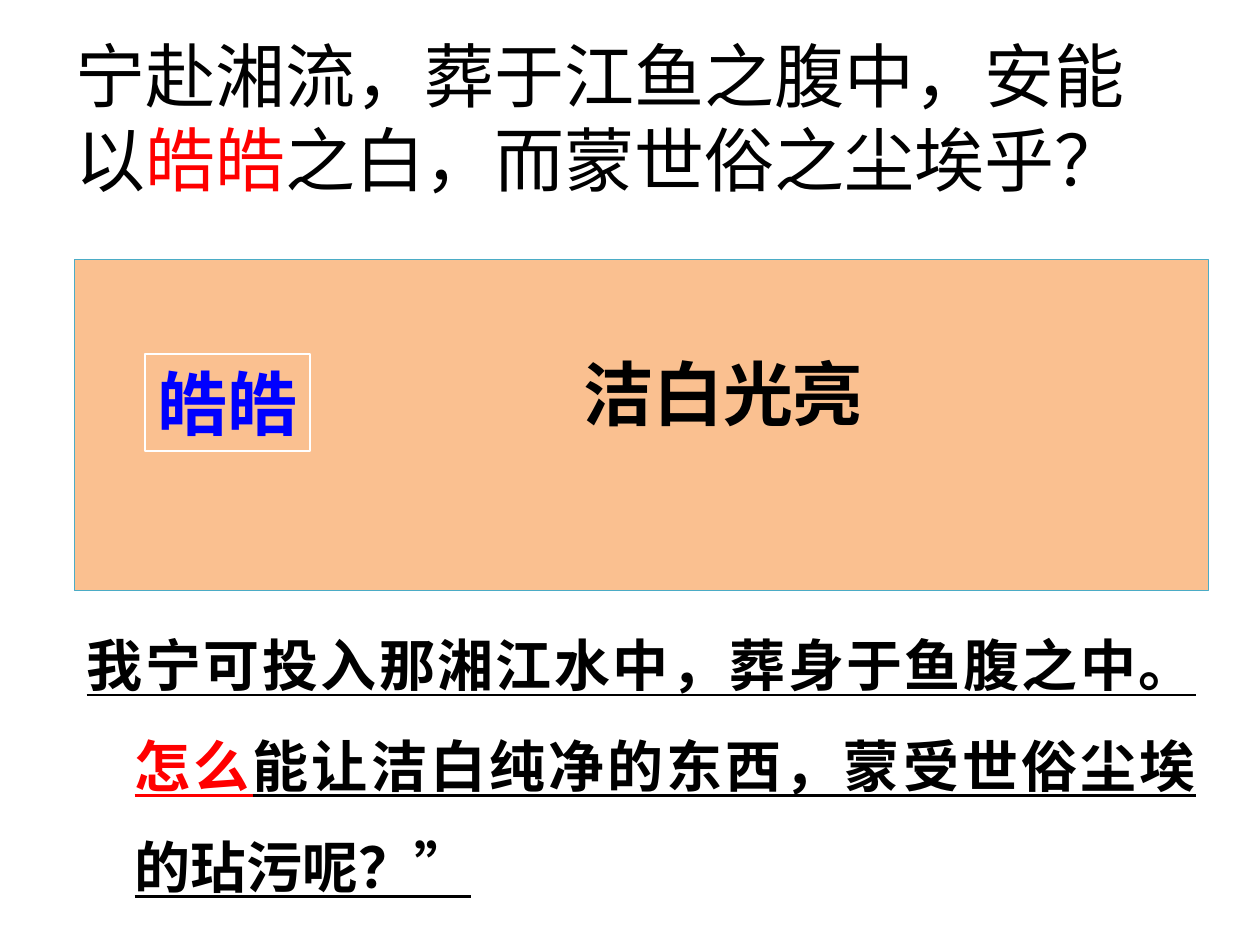
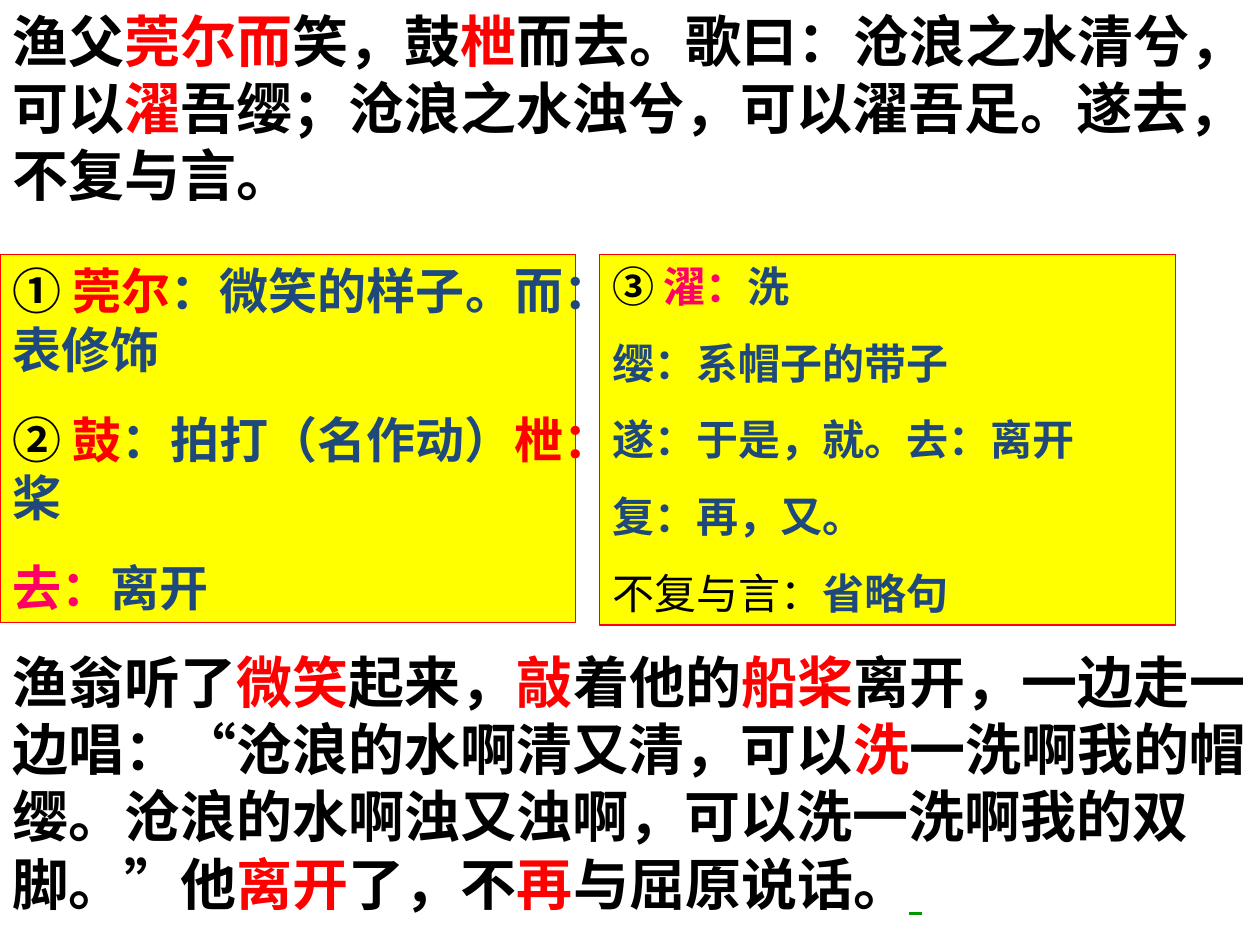
import pptx
import pptx.dml.color
import pptx.enum.shapes
import pptx.enum.text
import pptx.util
from pptx.util import Inches

# Shared colours and fonts
BLACK, RED, PINK = "000000", "FF0000", "FF0066"
BLUE, NAVY, GREEN = "0000FF", "1F497D", "009900"
WHITE, ORANGE, TEAL, YELLOW = "FFFFFF", "FAC090", "4BACC6", "FFFF00"
CHINESE = "Noto Sans CJK SC"
NUMBER = {"font": "Times New Roman"}
JUSTIFY = pptx.enum.text.PP_ALIGN.JUSTIFY


def color(hex_string):
    return pptx.dml.color.RGBColor.from_string(hex_string)


def add_text(slide, paragraphs, left, top, width, height, *, size=32, font="Arial",
             bold=True, underline=False, align=None, before=0, spacing=None, hanging=0,
             anchor=pptx.enum.text.MSO_ANCHOR.TOP, wrap=True, fill=None, line=None, line_width=0.75):
    """Each paragraph is a list of runs: (text, colour) or (text, colour, overrides)."""
    box = (Inches(left), Inches(top), Inches(width), Inches(height))
    if fill or line:
        shape = slide.shapes.add_shape(pptx.enum.shapes.MSO_SHAPE.RECTANGLE, *box)
        shape.shadow.inherit = False
        shape.fill.background()
        shape.line.color.rgb = color(line)
        shape.line.width = pptx.util.Pt(line_width)
    else:
        shape = slide.shapes.add_textbox(*box)
    if fill:
        shape.fill.solid()
        shape.fill.fore_color.rgb = color(fill)

    frame = shape.text_frame
    frame.word_wrap = wrap
    frame.vertical_anchor = anchor
    for index, runs in enumerate(paragraphs):
        paragraph = frame.add_paragraph() if index else frame.paragraphs[0]
        paragraph.alignment = align or pptx.enum.text.PP_ALIGN.LEFT
        paragraph.space_before = pptx.util.Pt(before)
        paragraph.line_spacing = spacing
        if hanging:
            properties = paragraph._p.get_or_add_pPr()
            properties.set("marL", str(Inches(hanging)))
            properties.set("indent", str(-Inches(hanging)))
        for text, run_color, *overrides in runs:
            style = {"font": font, "bold": bold, "underline": underline}
            style.update(*overrides)
            run = paragraph.add_run()
            run.text = text
            run.font.size = pptx.util.Pt(size)
            run.font.name = style["font"]
            run.font.bold = style["bold"]
            run.font.underline = style["underline"]
            run.font.color.rgb = color(run_color)
            run.font.language_id = pptx.enum.lang.MSO_LANGUAGE_ID.SIMPLIFIED_CHINESE
            east_asian = run.font._element.makeelement(pptx.oxml.ns.qn("a:ea"), {"typeface": CHINESE})
            run.font._element.find(pptx.oxml.ns.qn("a:latin")).addnext(east_asian)
    return shape


presentation = pptx.Presentation()
presentation.slide_width = Inches(10)
presentation.slide_height = Inches(7.5)
blank = presentation.slide_layouts[6]

# Slide 1: verse, key word and translation
slide = presentation.slides.add_slide(blank)
verse = [("宁赴湘流，葬于江鱼之腹中，安能以", BLACK), ("皓皓", RED),
         ("之白，而蒙世俗之尘埃乎？", BLACK)]
add_text(slide, [verse], 0.5, 0.3, 9, 1.25, size=40, font="Calibri", bold=False,
         anchor=pptx.enum.text.MSO_ANCHOR.MIDDLE)

add_text(slide, [], 0.59, 2.06, 9, 2.63, fill=ORANGE, line=TEAL)

translation = [("我宁可投入那湘江水中，葬身于鱼腹之中。", BLACK), ("怎么", RED),
               ("能让洁白纯净的东西，蒙受世俗尘埃的玷污呢？”", BLACK)]
add_text(slide, [translation], 0.59, 4.69, 9, 2.63, font="Calibri", underline=True,
         align=JUSTIFY, before=20, spacing=1.5, hanging=0.38)

add_text(slide, [[("皓皓", BLUE)]], 1.15, 2.81, 1.31, 0.77, size=40, wrap=False,
         line=WHITE, line_width=1.25)
add_text(slide, [[("洁白光亮", BLACK)]], 4.53, 2.73, 2.42, 0.77, size=40, wrap=False)

# Slide 2: verse and translation
slide = presentation.slides.add_slide(blank)
verse = [("渔父", BLACK), ("莞尔而", RED), ("笑，鼓", BLACK), ("枻", RED),
         ("而去。歌曰：沧浪之水清兮，可以", BLACK), ("濯", RED),
         ("吾缨；沧浪之水浊兮，可以濯吾足。遂去，不复与言。", BLACK)]
add_text(slide, [verse], 0, 0, 10, 1.7)

translation = [("渔翁听了", BLACK), ("微笑", RED), ("起来，", BLACK), ("敲", RED),
               ("着他的", BLACK), ("船桨", RED),
               ("离开，一边走一边唱：“沧浪的水啊清又清，可以", BLACK), ("洗", RED),
               ("一洗啊我的帽缨。沧浪的水啊浊又浊啊，可以洗一洗啊我的双脚。”他", BLACK),
               ("离开", RED), ("了，不", BLACK), ("再", RED), ("与屈原说话。", BLACK),
               (" ", GREEN, {"underline": True})]
add_text(slide, [translation], 0, 5.09, 10, 2.24, before=20)

# Slide 2: two boxes of word notes
first_notes = [
    [("① ", BLACK, NUMBER), ("莞尔", RED), ("：微笑的样子。而：表修饰", NAVY)],
    [("② ", BLACK, NUMBER), ("鼓", RED), ("：拍打（名作动）", NAVY), ("枻：", RED), ("桨", NAVY)],
    [("去：", PINK), ("离开", NAVY)],
]
second_notes = [
    [("③ ", BLACK, NUMBER), ("濯：", PINK), ("洗", NAVY)],
    [("缨：系帽子的带子", NAVY)],
    [("遂：于是，就。去：离开", NAVY)],
    [("复：再，又。", NAVY)],
    [("不复与言：", BLACK, {"font": "Arial", "bold": False}), ("省略句", NAVY)],
]
for notes, left, height, size, before in [(first_notes, 0, 2.92, 28, 17.5),
                                          (second_notes, 4.76, 2.94, 24, 15)]:
    add_text(slide, notes, left, 2.02, 4.57, height, size=size, font=CHINESE,
             align=JUSTIFY, before=before, fill=YELLOW, line=RED)

presentation.save("out.pptx")
